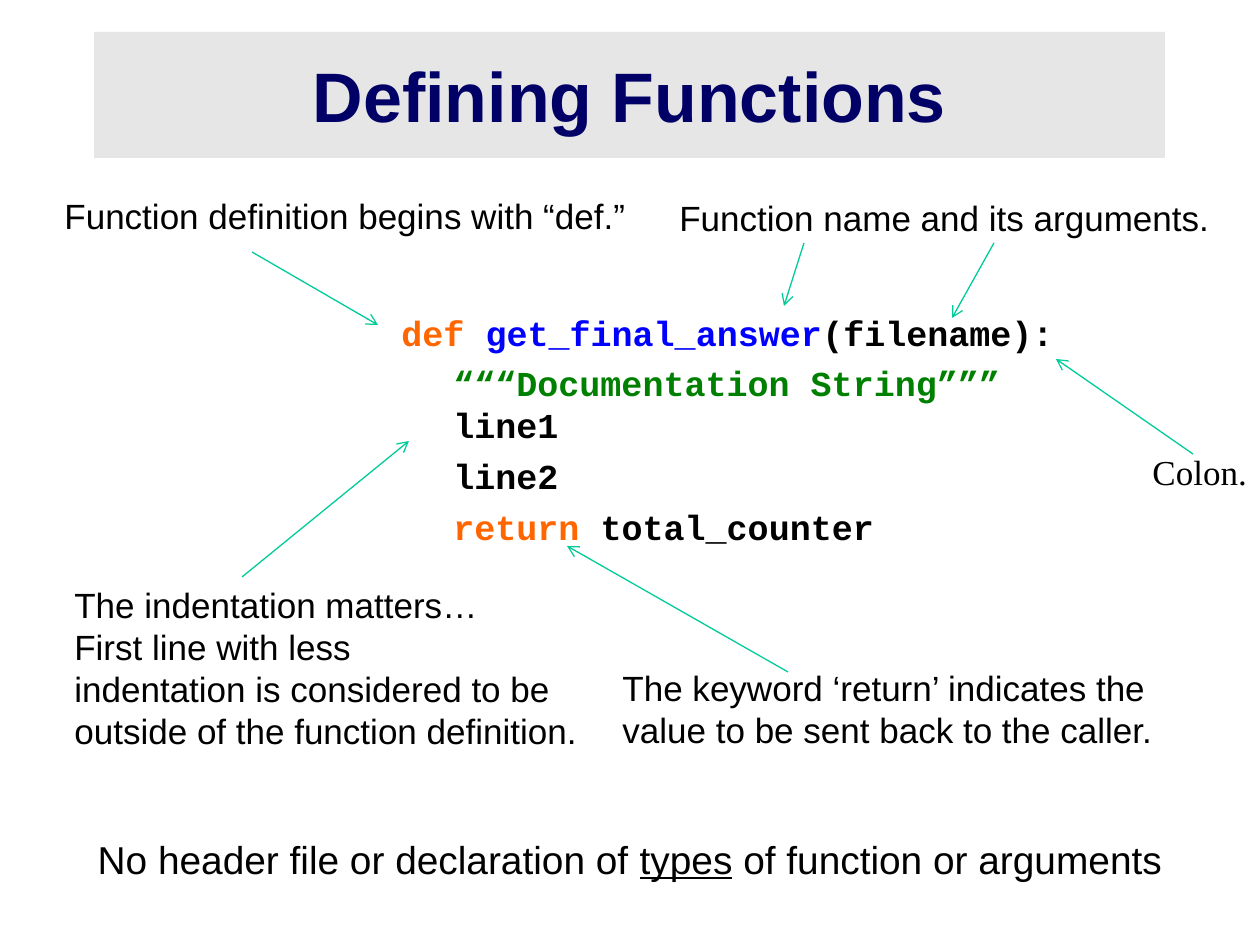
from dataclasses import dataclass

from lxml import etree
from pptx import Presentation
from pptx import util as u
from pptx.dml.color import RGBColor
from pptx.enum import shapes, text
from pptx.oxml import ns

PX = u.Inches(1) / 126


def px(n):
    return u.Emu(round(n * PX))


@dataclass(frozen=True)
class Theme:
    ink: str = "000000"
    navy: str = "000066"
    band: str = "E6E6E6"
    arrow: str = "00CC99"
    keyword: str = "FF6600"
    name: str = "0000FF"
    doc: str = "008000"
    sans: str = "Arial"
    mono: str = "Courier New"
    serif: str = "Times New Roman"
    title_size: float = 40
    footer_size: float = 22.2
    text_size: float = 20
    line_width: float = 0.75


class Deck:
    def __init__(self, prs, theme):
        self.t = theme
        self.s = prs.slides.add_slide(prs.slide_layouts[1])

    def runs(self, p, parts, **base):
        """Add (text, format) parts to a paragraph; a newline is a line break."""
        base = {"name": self.t.sans, "size": self.t.text_size,
                "color": self.t.ink, "bold": False} | base
        for words, own in parts:
            fmt = base | own
            for i, line in enumerate(words.split("\n")):
                if i:
                    p.add_line_break()
                if not line:
                    continue
                r = p.add_run()
                r.text = line
                r.font.color.rgb = RGBColor.from_string(fmt["color"])
                r.font.size = u.Pt(fmt["size"])
                for key in ("name", "bold", "underline"):
                    if key in fmt:
                        setattr(r.font, key, fmt[key])

    def frame(self, sp, box, wrap=True, anchor=text.MSO_ANCHOR.TOP):
        for key, n in zip(("left", "top", "width", "height"), box):
            setattr(sp, key, px(n))
        tf = sp.text_frame
        fmt = {"word_wrap": wrap, "vertical_anchor": anchor,
               "auto_size": text.MSO_AUTO_SIZE.NONE}
        for key, value in fmt.items():
            setattr(tf, key, value)
        return tf

    def title(self, box, words):
        sp = self.s.shapes.title
        sp.fill.solid()
        sp.fill.fore_color.rgb = RGBColor.from_string(self.t.band)
        p = self.frame(sp, box, anchor=text.MSO_ANCHOR.MIDDLE).paragraphs[0]
        p.alignment = text.PP_ALIGN.CENTER
        self.runs(p, [(words, {})], size=self.t.title_size,
                  color=self.t.navy, bold=True)

    def body(self, box, parts):
        p = self.frame(self.s.placeholders[1], box).paragraphs[0]
        p.alignment = text.PP_ALIGN.CENTER
        p.space_before = u.Pt(0)
        pPr = p._p.get_or_add_pPr()
        for key in ("marL", "indent"):
            pPr.set(key, "0")
        etree.SubElement(pPr, ns.qn("a:buNone"))
        self.runs(p, parts, size=self.t.footer_size)

    def note(self, box, words, **fmt):
        sp = self.s.shapes.add_textbox(0, 0, 0, 0)
        p = self.frame(sp, box, wrap=False).paragraphs[0]
        self.runs(p, [(words, {})], **fmt)

    def code(self, box, lines):
        """Add lines of code, each given as (left margin, parts)."""
        tf = self.frame(self.s.shapes.add_textbox(0, 0, 0, 0), box)
        for i, (margin, parts) in enumerate(lines):
            p = tf.add_paragraph() if i else tf.paragraphs[0]
            p.space_before = u.Pt(5)
            p._p.get_or_add_pPr().set("marL", str(px(margin)))
            self.runs(p, parts, name=self.t.mono, bold=True)

    def arrow(self, *ends):
        c = self.s.shapes.add_connector(
            shapes.MSO_CONNECTOR.STRAIGHT, *map(px, ends))
        c.line.color.rgb = RGBColor.from_string(self.t.arrow)
        c.line.width = u.Pt(self.t.line_width)
        ln = c.line._get_or_add_ln()
        etree.SubElement(ln, ns.qn("a:tailEnd"), type="arrow")
        etree.SubElement(c._element.spPr, ns.qn("a:effectLst"))


def main():
    prs = Presentation()
    prs.slide_width, prs.slide_height = px(1260), px(945)
    t = Theme()
    d = Deck(prs, t)

    # Title and closing remark
    d.title((94, 32, 1071, 126), "Defining Functions")
    d.body((42, 829, 1176, 105), [
        ("No header file or declaration of ", {}),
        ("types", {"underline": True}),
        (" of function or arguments", {}),
    ])

    # Function being explained
    outer, inner = 126, 178
    keyword = {"color": t.keyword}
    d.code((263, 305, 892, 189), [
        (outer, [("def ", keyword), ("get_final_answer", {"color": t.name}),
                 ("(filename):", {})]),
        (inner, [("“““Documentation String”””\n", {"color": t.doc}),
                 ("line1", {})]),
        (inner, [("line2", {})]),
        (inner, [("return", keyword), (" total_counter", {})]),
    ])

    # Notes around the code
    d.note((52, 188, 587, 54), "Function definition begins with “def.”")
    d.note((667, 190, 556, 54), "Function name and its arguments.")
    d.note((62, 577, 528, 181),
           "The indentation matters…\nFirst line with less\n"
           "indentation is considered to be\n"
           "outside of the function definition.")
    d.note((610, 660, 559, 97),
           "The keyword ‘return’ indicates the\n"
           "value to be sent back to the caller.")
    d.note((1140, 444, 120, 54), "Colon.", name=t.serif)

    # Arrows from the notes to the code
    for ends in ((252, 252, 378, 325), (804, 243, 784, 306),
                 (994, 243, 952, 318), (242, 577, 409, 441),
                 (788, 672, 567, 546), (1193, 454, 1056, 359)):
        d.arrow(*ends)

    prs.save("out.pptx")


if __name__ == "__main__":
    main()
